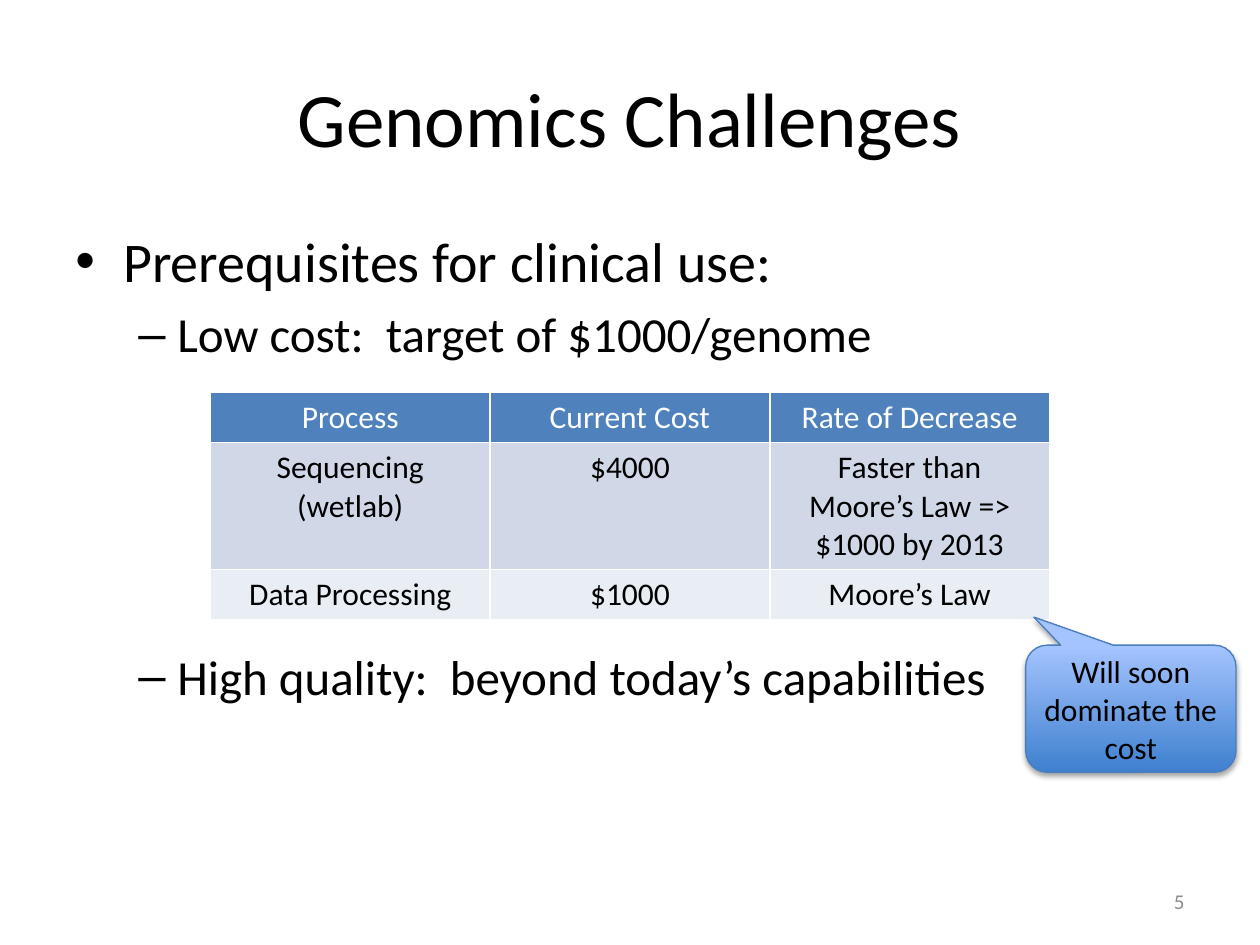
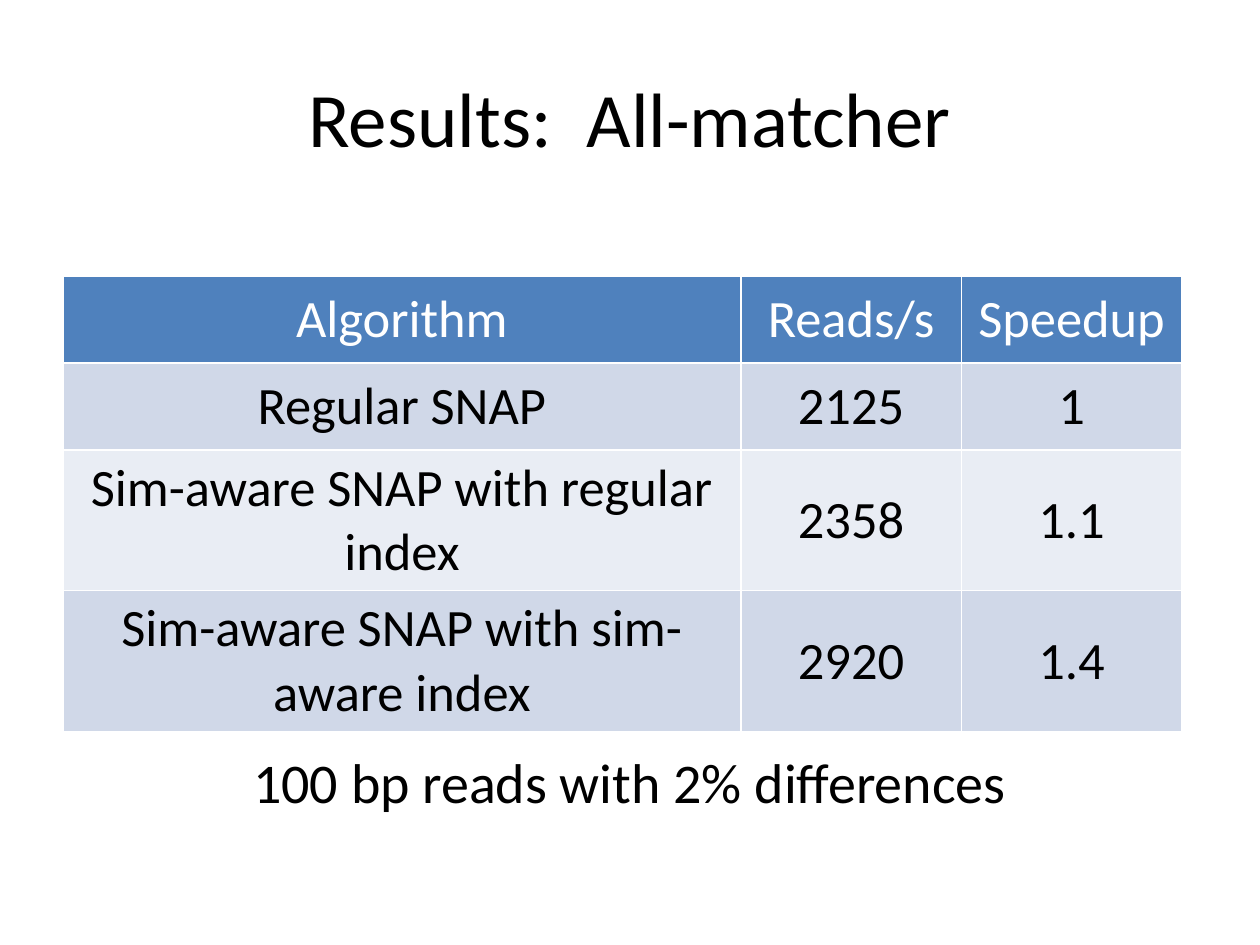
from dataclasses import dataclass
from lxml import etree
from pptx import Presentation
from pptx.dml.color import RGBColor as RGB
from pptx.enum.shapes import MSO_SHAPE as Shape
from pptx.enum.text import MSO_ANCHOR as Anchor, PP_ALIGN as Align
from pptx.oxml import parse_xml
from pptx.oxml.ns import nsdecls, qn
from pptx.util import Inches, Pt

# Each bullet: level, text, points of space before
GOALS = [
    (0, "Prerequisites for clinical use:", 0),
    (1, "Low cost:  target of $1000/genome", 5.6),
    (1, "High quality:  beyond today’s capabilities", 162),
]
COSTS = [
    ("Process", "Current Cost", "Rate of Decrease"),
    ("Sequencing (wetlab)", "$4000", "Faster than Moore’s Law => $1000 by 2013"),
    ("Data Processing", "$1000", "Moore’s Law"),
]
SPEEDS = [
    ("Algorithm", "Reads/s", "Speedup"),
    ("Regular SNAP", "2125", "1"),
    ("Sim-aware SNAP with regular index", "2358", "1.1"),
    ("Sim-aware SNAP with sim-aware index", "2920", "1.4"),
]


@dataclass(frozen=True)
class Theme:
    font: str = "Calibri"
    ink: str = "000000"
    paper: str = "FFFFFF"
    mute: str = "8C8C8C"
    head: str = "4F81BD"
    bands: tuple = ("D0D8E8", "E9EDF4")
    glow: tuple = ("3F80CE", "A4C4FF")
    edge: str = "4B7EBC"
    title: int = 44
    body: tuple = (32, 28)
    grid: int = 30
    small: int = 18
    foot: int = 12


T = Theme()
LEFT, WIDE = 0.5, 9
# Per level: bullet sign, text margin, first-line indent
LEVELS = [("•", 0.38, -0.38), ("–", 0.81, -0.31)]


def write(para, text, size, color=T.ink, align=Align.CENTER):
    para.alignment = align
    run = para.add_run()
    run.text = text
    run.font.name = T.font
    run.font.size = Pt(size)
    run.font.color.rgb = RGB.from_string(color)


def add_box(slide, x, y, w, h, anchor=Anchor.TOP):
    box = slide.shapes.add_textbox(*map(Inches, (x, y, w, h)))
    frame = box.text_frame
    frame.word_wrap = True
    frame.vertical_anchor = anchor
    return frame


def add_slide(deck, title):
    slide = deck.slides.add_slide(deck.slide_layouts[5])
    head = slide.shapes.title
    head.left, head.top, head.width, head.height = map(
        Inches, (LEFT, 0.3, WIDE, 1.25))
    head.text_frame.vertical_anchor = Anchor.MIDDLE
    write(head.text_frame.paragraphs[0], title, T.title)
    return slide


def add_goals(slide):
    frame = add_box(slide, LEFT, 1.75, WIDE, 4.95)
    for i, (level, text, gap) in enumerate(GOALS):
        para = frame.add_paragraph() if i else frame.paragraphs[0]
        sign, margin, indent = LEVELS[level]
        para.level = level
        para.space_before = Pt(gap)
        props = para._p.get_or_add_pPr()
        props.set("marL", str(Inches(margin)))
        props.set("indent", str(Inches(indent)))
        etree.SubElement(props, qn("a:buFont")).set("typeface", "Arial")
        etree.SubElement(props, qn("a:buChar")).set("char", sign)
        write(para, text, T.body[level], align=Align.LEFT)


def rule_cell(cell):
    """Draw a thin paper-coloured line on all four sides."""
    props = cell._tc.get_or_add_tcPr()
    for i, side in enumerate("LRTB"):
        props.insert(i, parse_xml(
            f'<a:ln{side} {nsdecls("a")} w="12700"><a:solidFill>'
            f'<a:srgbClr val="{T.paper}"/></a:solidFill></a:ln{side}>'))


def add_grid(slide, rows, x, y, cols, highs, size, anchor):
    grid = slide.shapes.add_table(
        len(rows), len(cols),
        *map(Inches, (x, y, sum(cols), sum(highs)))).table
    for col, wide in zip(grid.columns, cols):
        col.width = Inches(wide)
    for r, (row, high) in enumerate(zip(rows, highs)):
        grid.rows[r].height = Inches(high)
        fill = T.bands[(r - 1) % 2] if r else T.head
        for c, text in enumerate(row):
            cell = grid.cell(r, c)
            cell.fill.solid()
            cell.fill.fore_color.rgb = RGB.from_string(fill)
            cell.vertical_anchor = anchor
            rule_cell(cell)
            write(cell.text_frame.paragraphs[0], text, size,
                  T.ink if r else T.paper)


def add_callout(slide, text, x, y, w, h):
    note = slide.shapes.add_shape(
        Shape.ROUNDED_RECTANGULAR_CALLOUT, *map(Inches, (x, y, w, h)))
    for i, value in enumerate((-0.46, -0.72, 0.17)):
        note.adjustments[i] = value
    note.fill.gradient()
    note.fill.gradient_angle = 90
    for stop, color in zip(note.fill.gradient_stops, T.glow):
        stop.color.rgb = RGB.from_string(color)
    note.line.color.rgb = RGB.from_string(T.edge)
    note.line.width = Pt(0.75)
    note.shadow.inherit = False
    cast = note._element.spPr.find(qn("a:effectLst"))
    cast.append(parse_xml(
        f'<a:outerShdw {nsdecls("a")} blurRad="{Pt(3.1)}" dist="{Pt(1.8)}" '
        f'dir="5400000" rotWithShape="0"><a:srgbClr val="{T.ink}">'
        '<a:alpha val="35000"/></a:srgbClr></a:outerShdw>'))
    frame = note.text_frame
    frame.word_wrap = True
    frame.vertical_anchor = Anchor.MIDDLE
    frame.margin_left = frame.margin_right = Inches(0.04)
    frame.margin_top = frame.margin_bottom = 0
    write(frame.paragraphs[0], text, T.small)


def main():
    deck = Presentation()
    deck.slide_width, deck.slide_height = Inches(10), Inches(7.5)

    slide = add_slide(deck, "Genomics Challenges")
    add_goals(slide)
    foot = add_box(slide, 7.17, 6.95, 2.33, 0.4, Anchor.MIDDLE)
    write(foot.paragraphs[0], "5", T.foot, T.mute, Align.RIGHT)
    add_grid(slide, COSTS, 1.67, 3.11, [2.22] * 3, [0.4, 1.01, 0.4],
             T.small, Anchor.TOP)
    add_callout(slide, "Will soon dominate the cost", 8.14, 5.12, 1.67, 1.01)

    slide = add_slide(deck, "Results:  All-matcher")
    add_grid(slide, SPEEDS, LEFT, 2.19, [5.38, 1.75, 1.75],
             [0.69, 0.69, 1.1, 1.1], T.grid, Anchor.MIDDLE)
    note = add_box(slide, LEFT, 5.88, WIDE, 0.64)
    write(note.paragraphs[0], "100 bp reads with 2% differences", T.body[0])

    deck.save("out.pptx")


if __name__ == "__main__":
    main()
